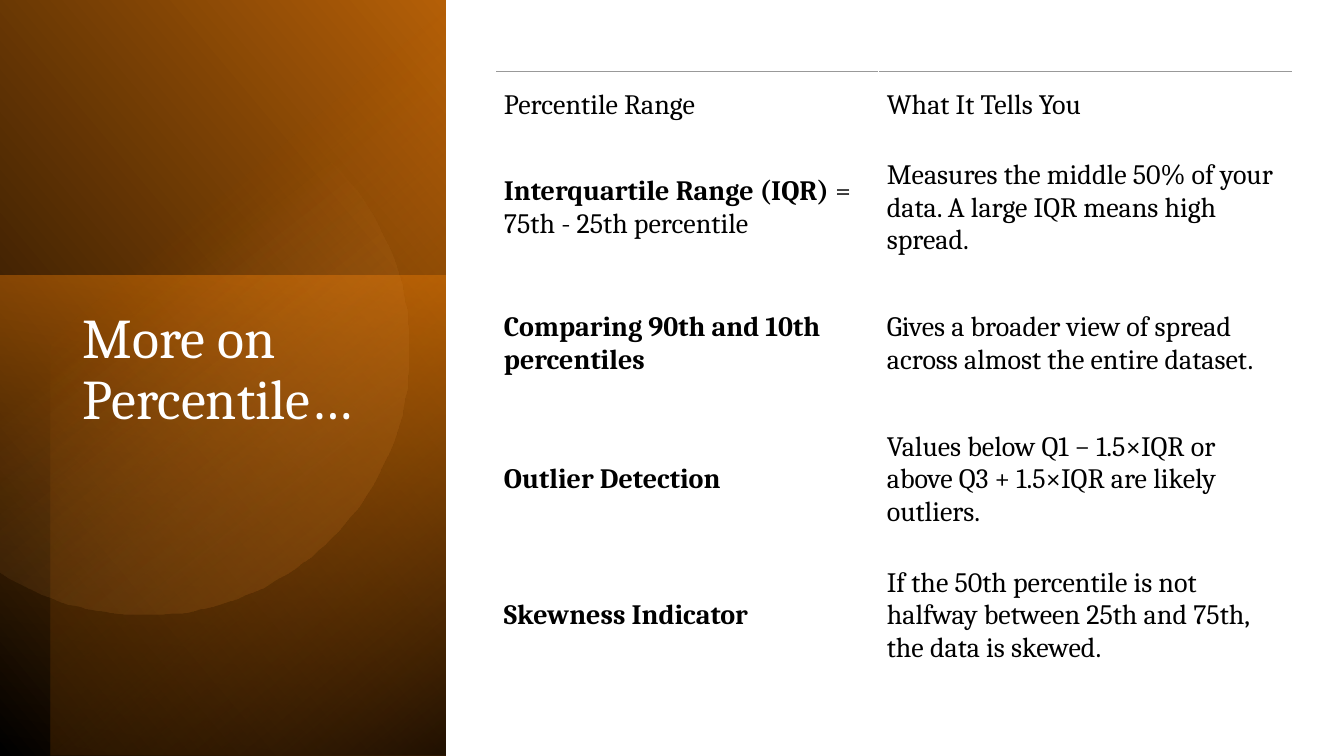
import math

import pptx
import pptx.dml.color
import pptx.enum.shapes
import pptx.enum.text
import pptx.oxml
import pptx.oxml.ns
import pptx.util

Pt = pptx.util.Pt
FONT = "Cambria"
COLORS = {
    "black": "000000",
    "white": "FFFFFF",
    "orange": "F07F09",
    "dark_orange": "B45F07",
    "brown": "784004",
    "peach": "F9B268",
    "rule": "999999",
}
# Each cell is a list of (text, bold) runs.
ROWS = [
    ([("Percentile Range", False)], [("What It Tells You", False)]),
    ([("Interquartile Range (IQR)", True), (" = 75th - 25th percentile", False)],
     [("Measures the middle 50% of your data. A large IQR means high spread.", False)]),
    ([("Comparing 90th and 10th percentiles", True)],
     [("Gives a broader view of spread across almost the entire dataset.", False)]),
    ([("Outlier Detection", True)],
     [("Values below Q1 − 1.5×IQR or above Q3 + 1.5×IQR are likely outliers.", False)]),
    ([("Skewness Indicator", True)],
     [("If the 50th percentile is not halfway between 25th and 75th, the data is skewed.",
       False)]),
]


def rgb(name):
    return pptx.dml.color.RGBColor.from_string(COLORS[name])


def fill_gradient(shape, stops, angle):
    """Fill with (position %, colour, opacity %) stops, the angle running clockwise."""
    shape.shadow.inherit = False
    shape.line.fill.background()
    shape.fill.gradient()
    gradient = shape.element.spPr.find(pptx.oxml.ns.qn("a:gradFill"))
    stop_xml = "".join(
        f'<a:gs pos="{position * 1000}"><a:srgbClr val="{COLORS[color]}">'
        f'<a:alpha val="{opacity * 1000}"/></a:srgbClr></a:gs>'
        for position, color, opacity in stops)
    gradient.getparent().replace(gradient, pptx.oxml.parse_xml(
        f'<a:gradFill {pptx.oxml.ns.nsdecls("a")} rotWithShape="1"><a:gsLst>{stop_xml}'
        f'</a:gsLst><a:lin ang="{angle * 60000}" scaled="0"/></a:gradFill>'))


def add_gradient_panel(slide, left, top, width, height, stops, angle):
    panel = slide.shapes.add_shape(pptx.enum.shapes.MSO_SHAPE.RECTANGLE,
                                   Pt(left), Pt(top), Pt(width), Pt(height))
    fill_gradient(panel, stops, angle)


def add_clipped_circle(slide, left, center_x, center_y, radius):
    """Draw a circle whose left part is cut off at the given left edge."""
    limit = math.acos((left - center_x) / radius)
    steps = 120
    angles = [limit * (2 * step / steps - 1) for step in range(steps + 1)]
    points = [(center_x + radius * math.cos(angle), center_y + radius * math.sin(angle))
              for angle in angles]
    builder = slide.shapes.build_freeform(*points[0], scale=Pt(1))
    builder.add_line_segments(points[1:], close=True)
    fill_gradient(builder.convert_to_shape(),
                  [(39, "peach", 0), (100, "dark_orange", 26)], 52)


def add_sidebar(slide, left, top, width, height):
    add_gradient_panel(slide, left, top, width, height,
                       [(0, "black", 100), (100, "dark_orange", 100)], 320)
    add_gradient_panel(slide, left, top + 197, width, height - 197,
                       [(0, "orange", 50), (100, "brown", 0)], 100)
    add_gradient_panel(slide, left + 36, top, width - 36, height,
                       [(0, "black", 59), (69, "orange", 0)], 230)
    add_clipped_circle(slide, left, left + 103, top + 250, 189.5)

    title = slide.shapes.title
    title.element.getparent().append(title.element)  # in front of the panels
    title.left, title.top = Pt(left + 52), Pt(top + 218)
    title.width, title.height = Pt(227), Pt(242)
    frame = title.text_frame
    frame.text = "More on Percentile…"
    frame.word_wrap = True
    frame.auto_size = pptx.enum.text.MSO_AUTO_SIZE.NONE
    frame.vertical_anchor = pptx.enum.text.MSO_ANCHOR.TOP
    paragraph = frame.paragraphs[0]
    paragraph.alignment = pptx.enum.text.PP_ALIGN.LEFT
    paragraph.line_spacing = 0.9
    paragraph.font.size = Pt(40)
    paragraph.font.name = FONT
    paragraph.font.color.rgb = rgb("white")


def add_top_border(cell):
    cell.fill.background()
    cell._tc.get_or_add_tcPr().insert(0, pptx.oxml.parse_xml(
        f'<a:lnT {pptx.oxml.ns.nsdecls("a")} w="{Pt(1)}"><a:solidFill>'
        f'<a:srgbClr val="{COLORS["rule"]}"/></a:solidFill></a:lnT>'))


def write_cell(cell, runs):
    cell.fill.background()
    cell.vertical_anchor = pptx.enum.text.MSO_ANCHOR.MIDDLE
    cell.margin_left = cell.margin_right = Pt(6)
    cell.margin_top, cell.margin_bottom = Pt(11), Pt(12)
    paragraph = cell.text_frame.paragraphs[0]
    paragraph.font.size = Pt(20)
    paragraph.font.name = FONT
    paragraph.font.color.rgb = rgb("black")
    for text, bold in runs:
        run = paragraph.add_run()
        run.text = text
        run.font.bold = bold


def add_percentile_table(slide, left, top, width, height):
    header_height, first_width = 49.5, 273.5
    table = slide.shapes.add_table(len(ROWS), 2, Pt(left), Pt(top),
                                   Pt(width), Pt(height)).table
    table.first_row = table.horz_banding = False
    table.columns[0].width = Pt(first_width)
    table.columns[1].width = Pt(width - first_width)
    body_height = (height - header_height) / (len(ROWS) - 1)
    for index, row in enumerate(ROWS):
        table.rows[index].height = Pt(body_height if index else header_height)
        for column, runs in enumerate(row):
            write_cell(table.cell(index, column), runs)
    for column in range(2):
        add_top_border(table.cell(0, column))


def main():
    presentation = pptx.Presentation()
    presentation.slide_width, presentation.slide_height = Pt(960), Pt(540)
    slide = presentation.slides.add_slide(presentation.slide_layouts[5])
    add_sidebar(slide, 0, 0, 318.5, 540)
    add_percentile_table(slide, 354, 51, 569, 438)
    presentation.save("out.pptx")


if __name__ == "__main__":
    main()
